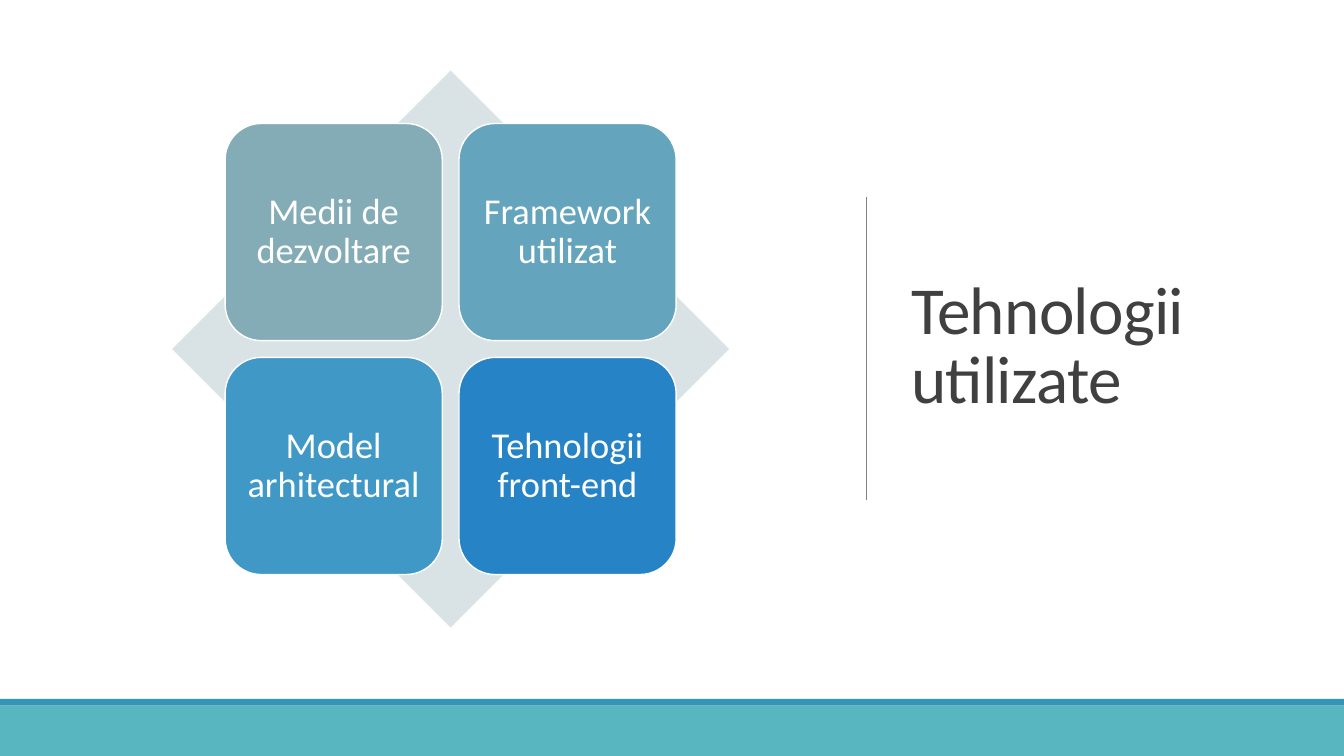
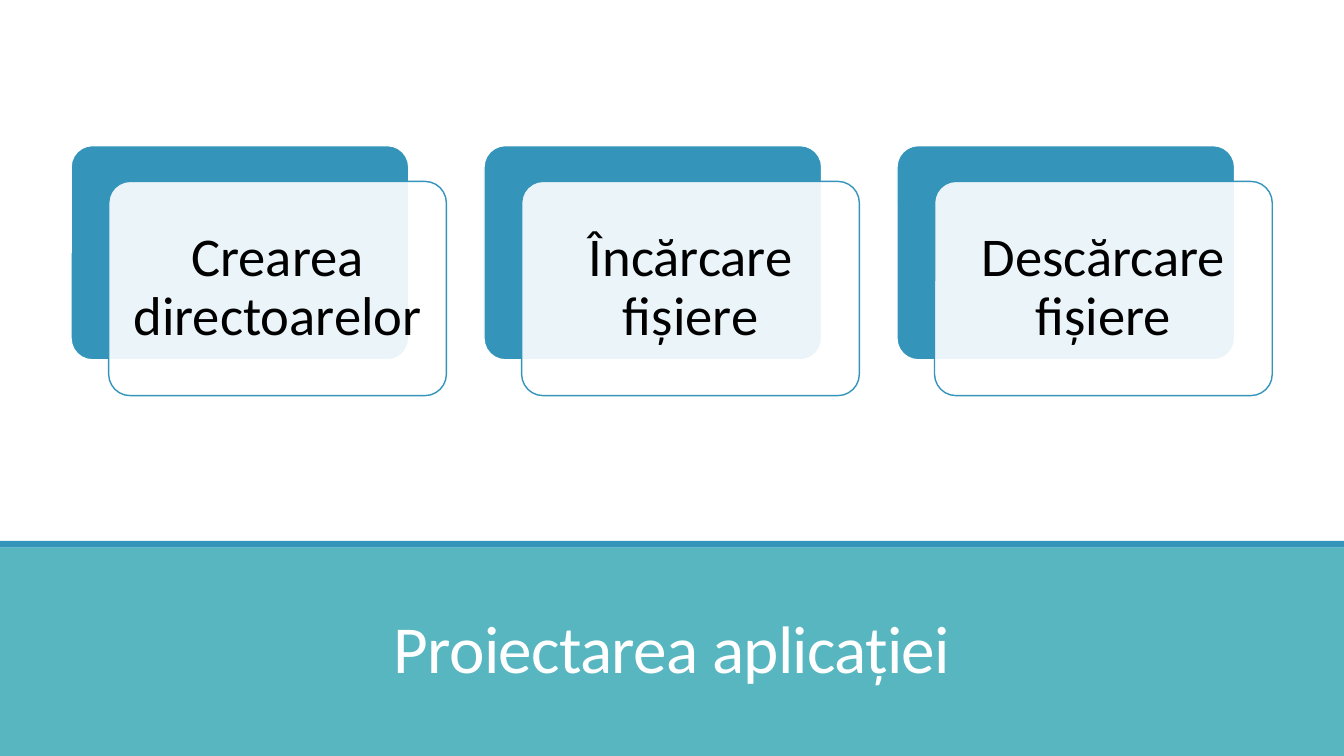
from lxml.etree import SubElement
from pptx import Presentation
from pptx.dml.color import RGBColor
from pptx.enum.shapes import MSO_CONNECTOR, MSO_SHAPE
from pptx.enum.text import MSO_ANCHOR as Anchor, PP_ALIGN as Align
from pptx.oxml.ns import qn
from pptx.util import Inches, Pt

WHITE = RGBColor(0xFF, 0xFF, 0xFF)
BLACK = RGBColor(0x00, 0x00, 0x00)
DARK = RGBColor(0x40, 0x40, 0x40)
GREY = RGBColor(0x80, 0x80, 0x80)
BLUE = RGBColor(0x34, 0x94, 0xBA)
TEAL = RGBColor(0x58, 0xB6, 0xC0)
PALE = RGBColor(0xD9, 0xE3, 0xE5)
SAGE = RGBColor(0x84, 0xAC, 0xB6)
STEEL = RGBColor(0x64, 0xA4, 0xBC)
SKY = RGBColor(0x40, 0x98, 0xC6)
ROYAL = RGBColor(0x26, 0x83, 0xC6)

COLS, ROWS = 80, 45
UNIT = Inches(7.5) / ROWS
FONT = "Calibri"


def grid(*cells):
    return [round(n * UNIT) for n in cells]


class Deck:
    def __init__(self):
        self.prs = Presentation()
        self.prs.slide_width, self.prs.slide_height = grid(COLS, ROWS)
        self.s = None

    def add_slide(self):
        self.s = self.prs.slides.add_slide(self.prs.slide_layouts[6])

    def shape(self, kind, x, y, w, h, fill, line=None, radius=None, opacity=None):
        sp = self.s.shapes.add_shape(kind, *grid(x, y, w, h))
        sp.shadow.inherit = False
        sp.fill.solid()
        sp.fill.fore_color.rgb = fill
        if opacity is not None:
            color = sp._element.spPr.find(qn("a:solidFill"))[0]
            SubElement(color, qn("a:alpha")).set("val", str(opacity * 1000))
        if line is None:
            sp.line.fill.background()
        else:
            sp.line.color.rgb = line
            sp.line.width = Pt(1)
        if radius is not None:
            sp.adjustments[0] = radius
        return sp

    def set_text(self, sp, text, size, color, align, anchor, leading, spacing=None):
        tf = sp.text_frame
        tf.word_wrap = True
        tf.vertical_anchor = anchor
        tf.text = text
        p = tf.paragraphs[0]
        p.alignment = align
        p.line_spacing = leading
        for r in p.runs:
            r.font.name = FONT
            r.font.size = Pt(size)
            r.font.color.rgb = color
            if spacing is not None:
                r._r.get_or_add_rPr().set("spc", str(round(spacing * 100)))

    def label(self, sp, text, size, color, margin):
        tf = sp.text_frame
        tf.margin_left = tf.margin_right = Inches(margin)
        tf.margin_top = tf.margin_bottom = Inches(margin)
        self.set_text(sp, text, size, color, Align.CENTER, Anchor.MIDDLE, 0.9)

    def title(self, text, x, y, w, h, color, align, anchor):
        sp = self.s.shapes.add_textbox(*grid(x, y, w, h))
        self.set_text(sp, text, 48, color, align, anchor, 0.85, -0.5)

    def band(self, y, stripe=0.4):
        self.shape(MSO_SHAPE.RECTANGLE, 0, y, COLS, stripe, BLUE)
        self.shape(MSO_SHAPE.RECTANGLE, 0, y + stripe, COLS, ROWS - y - stripe, TEAL)

    def divider(self, x, top, bottom):
        ln = self.s.shapes.add_connector(MSO_CONNECTOR.STRAIGHT, *grid(x, top, x, bottom))
        ln.line.color.rgb = GREY
        ln.line.width = Pt(0.5)
        SubElement(ln._element.spPr, qn("a:effectLst"))

    def matrix(self, x, y, size, tiles):
        self.shape(MSO_SHAPE.DIAMOND, x, y, size, size, PALE)
        side, pitch = 0.39 * size, 0.42 * size
        inset = (size - side - pitch) / 2
        for i, (text, fill) in enumerate(tiles):
            row, col = divmod(i, 2)
            sp = self.shape(MSO_SHAPE.ROUNDED_RECTANGLE, x + inset + col * pitch,
                            y + inset + row * pitch, side, side, fill, WHITE)
            self.label(sp, text, 26, WHITE, 0.11)

    def cards(self, x, y, w, h, pitch, texts, dx=2.24, dy=2.13):
        for i, text in enumerate(texts):
            left = x + i * pitch
            self.shape(MSO_SHAPE.ROUNDED_RECTANGLE, left, y, w, h, BLUE, WHITE, 0.1)
            sp = self.shape(MSO_SHAPE.ROUNDED_RECTANGLE, left + dx, y + dy, w, h,
                            WHITE, BLUE, 0.1, 90)
            self.label(sp, text, 39, BLACK, 0.16)


def main():
    deck = Deck()

    deck.add_slide()
    deck.band(41.6)
    deck.title("Tehnologii utilizate", 53.65, 4.15, 22.15, 33.2,
               DARK, Align.LEFT, Anchor.MIDDLE)
    deck.divider(51.55, 11.75, 29.75)
    deck.matrix(10.25, 4.2, 33.15, [
        ("Medii de dezvoltare", SAGE),
        ("Framework utilizat", STEEL),
        ("Model arhitectural", SKY),
        ("Tehnologii front-end", ROYAL),
    ])

    deck.add_slide()
    deck.band(32.2)
    deck.title("Proiectarea aplicației", 7, 34.45, 66, 6.75,
               WHITE, Align.CENTER, Anchor.BOTTOM)
    deck.cards(4.23, 8.67, 20.1, 12.75, 24.58, [
        "Crearea directoarelor",
        "Încărcare fișiere",
        "Descărcare fișiere",
    ])

    deck.prs.save("out.pptx")


if __name__ == "__main__":
    main()
